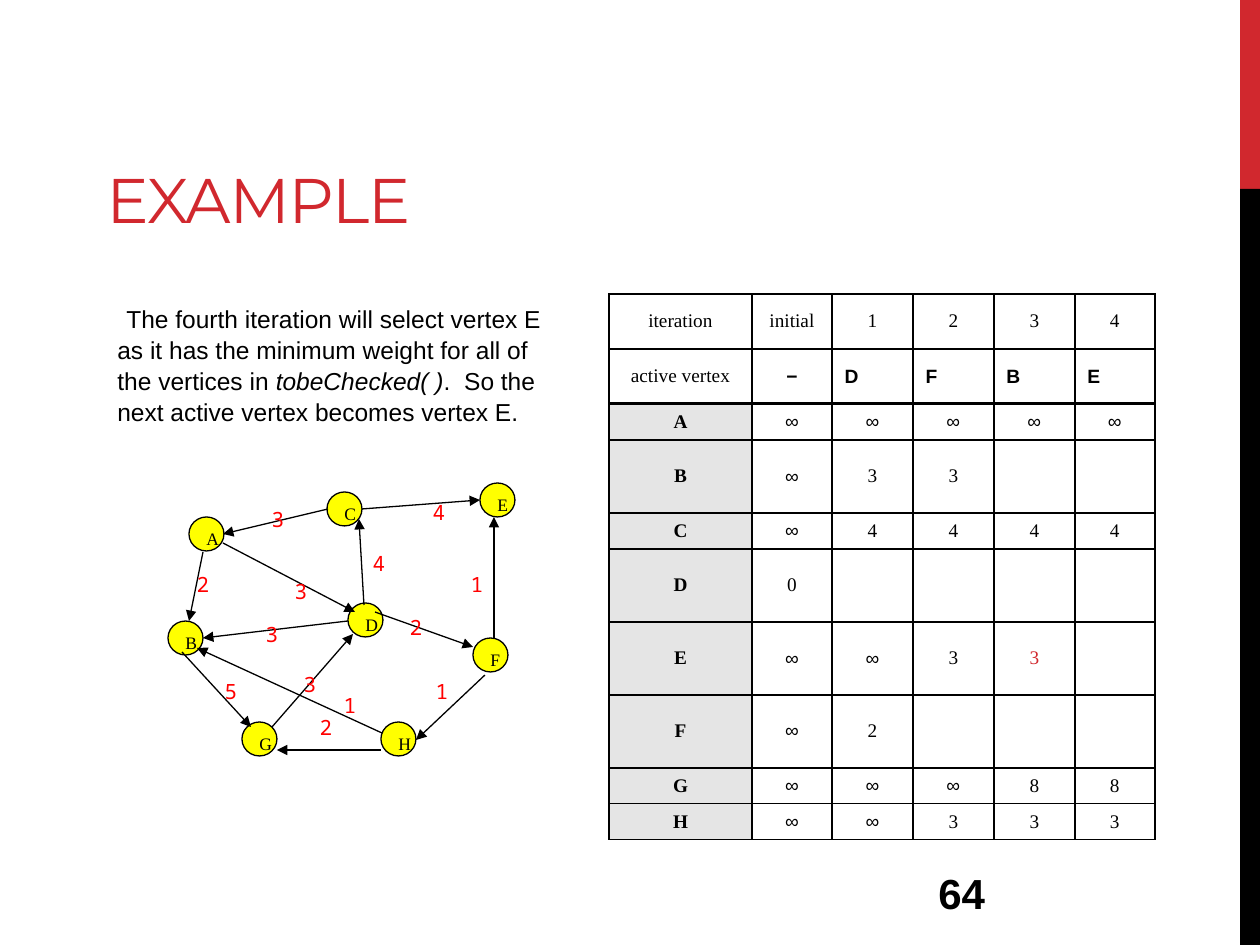
from lxml.etree import SubElement
from pptx import Presentation
from pptx.dml.color import RGBColor
from pptx.enum.shapes import MSO_CONNECTOR, MSO_SHAPE
from pptx.enum.text import MSO_ANCHOR, MSO_AUTO_SIZE, PP_ALIGN
from pptx.oxml.ns import qn
from pptx.util import Emu, Pt

SCALE = 914400 / 126
HUES = {"red": "D1282E", "black": "000000", "white": "FFFFFF", "grey": "E5E5E5",
        "node": "FFFF00", "weight": "FF0000"}
SERIF, SANS = "Times New Roman", "Arial"

NODES = {"A": (189, 517), "B": (168, 621), "C": (327, 492), "D": (348, 603),
         "E": (480, 483), "F": (473, 638), "G": (242, 722), "H": (381, 722)}
EDGES = [(381, 750, 277, 750), (485, 675, 416, 740), (328, 509, 223, 534),
         (203, 552, 189, 621), (375, 612, 473, 647), (494, 638, 494, 517),
         (348, 621, 203, 638), (223, 543, 355, 612), (362, 509, 480, 500),
         (182, 652, 251, 727), (382, 733, 197, 648), (272, 727, 353, 634),
         (364, 605, 359, 519)]
WEIGHTS = [("3", 278, 519), ("4", 439, 512), ("2", 203, 584), ("3", 301, 591),
           ("2", 416, 627), ("3", 272, 634), ("5", 231, 691), ("2", 326, 727),
           ("1", 442, 691), ("1", 477, 584), ("3", 310, 684), ("1", 350, 705),
           ("4", 379, 563)]
COLS = [143, 80, 81, 81, 81, 80]
ROWS = [(55, "iteration", "initial", "1", "2", "3", "4"),
        (55, "active vertex", "−", "D", "F", "B", "E"),
        (36, "A", "∞", "∞", "∞", "∞", "∞"),
        (73, "B", "∞", "3", "3", "", ""),
        (36, "C", "∞", "4", "4", "4", "4"),
        (73, "D", "0", "", "", "", ""),
        (73, "E", "∞", "∞", "3", "3", ""),
        (73, "F", "∞", "2", "", "", ""),
        (36, "G", "∞", "∞", "∞", "8", "8"),
        (36, "H", "∞", "∞", "3", "3", "3")]


def px(*nums):
    """Turn px lengths into EMU."""
    return [Emu(round(num * SCALE)) for num in nums]


def tint(name):
    """Look up a named colour."""
    return RGBColor.from_string(HUES[name])


def put(item, **vals):
    """Set each given attribute on an item."""
    for key, val in vals.items():
        setattr(item, key, val)


def write(para, text, size, face, hue="black", **vals):
    """Add a styled run to a paragraph."""
    run = para.add_run()
    run.text = text
    put(run.font, size=Pt(size), name=face, **vals)
    run.font.color.rgb = tint(hue)
    return run


def label(shapes, box, **vals):
    """Add a text box and return its frame."""
    frame = shapes.add_textbox(*px(*box)).text_frame
    put(frame, **{"word_wrap": True, **vals})
    return frame


def form(shapes, kind, box, hue, edge=None):
    """Add a filled preset shape."""
    item = shapes.add_shape(kind, *px(*box))
    item.shadow.inherit = False
    item.fill.solid()
    item.fill.fore_color.rgb = tint(hue)
    if edge:
        item.line.color.rgb = tint(edge)
        item.line.width = Pt(0.75)
    else:
        item.line.fill.background()
    return item


def node(shapes, name, spot):
    """Add a graph vertex."""
    item = form(shapes, MSO_SHAPE.OVAL, (*spot, 35, 34), "node", "black")
    put(item.text_frame, word_wrap=True, vertical_anchor=MSO_ANCHOR.TOP)
    para = item.text_frame.paragraphs[0]
    para.alignment = PP_ALIGN.JUSTIFY
    write(para, name, 10, SERIF)


def arrow(shapes, ends):
    """Add a directed graph edge."""
    item = shapes.add_connector(MSO_CONNECTOR.STRAIGHT, *px(*ends))
    item.line.color.rgb = tint("black")
    item.line.width = Pt(0.75)
    SubElement(item.line._get_or_add_ln(), qn("a:tailEnd"), type="triangle")
    SubElement(item._element.spPr, qn("a:effectLst"))


def weight(shapes, text, x, y):
    """Add an edge weight centred on a point."""
    frame = label(shapes, (x - 23, y - 14, 46, 28), word_wrap=False,
                  vertical_anchor=MSO_ANCHOR.MIDDLE)
    para = frame.paragraphs[0]
    para.alignment = PP_ALIGN.CENTER
    write(para, text, 12, "Noto Sans Mono", "weight")


def border(cell, **sides):
    """Draw cell borders of the given point widths."""
    props = cell._tc.get_or_add_tcPr()
    for side in "LRTB":
        line = SubElement(props, qn(f"a:ln{side}"), w=str(Pt(sides.get(side, 1))))
        fill = SubElement(line, qn("a:solidFill"))
        SubElement(fill, qn("a:srgbClr"), val=HUES["black"])


def shade(cell, row, col):
    """Fill a cell by its place in the table."""
    if row > 1 and col:
        cell.fill.background()
        return
    cell.fill.solid()
    cell.fill.fore_color.rgb = tint("grey" if row > 1 else "white")


def entry(cell, text, row, col):
    """Write one table value."""
    vertex = row == 1 and col > 0
    para = cell.text_frame.paragraphs[0]
    if not (vertex and col > 1):
        para.alignment = PP_ALIGN.CENTER
    hang = px(48)[0]
    props = para._p.get_or_add_pPr()
    props.set("marL", str(hang))
    props.set("indent", str(-hang))
    face = SANS if vertex or text == "∞" else SERIF
    hue = "red" if (row, col) == (6, 4) else "black"
    write(para, text, 11, face, hue, bold=vertex or (row > 1 and not col))


def grid(shapes):
    """Build the table of iterations."""
    table = shapes.add_table(len(ROWS), len(COLS), *px(609, 294, 546, 546)).table
    put(table, first_row=False, horz_banding=False)
    for col, wide in zip(table.columns, px(*COLS)):
        col.width = wide
    for row, (tall, *texts) in enumerate(ROWS):
        table.rows[row].height = px(tall)[0]
        for col, text in enumerate(texts):
            cell = table.cell(row, col)
            cell.vertical_anchor = MSO_ANCHOR.MIDDLE
            border(cell, T=2 if row == 2 else 1, B=2 if row == 1 else 1)
            shade(cell, row, col)
            if text:
                entry(cell, text, row, col)


def head(title):
    """Place and format the title."""
    left, top, wide, tall = px(94, 21, 946, 221)
    put(title, left=left, top=top, width=wide, height=tall)
    put(title.text_frame, vertical_anchor=MSO_ANCHOR.BOTTOM, word_wrap=True,
        auto_size=MSO_AUTO_SIZE.NONE)
    para = title.text_frame.paragraphs[0]
    para.alignment = PP_ALIGN.LEFT
    run = write(para, "EXAMPLE", 36, "Montserrat", "red")
    run.font._element.set("spc", "-60")


def body(shapes):
    """Add the explanation."""
    frame = label(shapes, (105, 252, 451, 208), margin_top=px(51)[0])
    para = frame.paragraphs[0]
    para.line_spacing = 1.05
    para._p.get_or_add_pPr().set("indent", str(px(9)[0]))
    write(para, "The fourth iteration will select vertex E as it has the minimum "
          "weight for all of the vertices in ", 14, SANS)
    write(para, "tobeChecked( )", 14, SANS, italic=True)
    write(para, ".  So the next active vertex becomes vertex E.", 14, SANS)


def graph(shapes):
    """Draw the weighted graph as one group."""
    parts = shapes.add_group_shape().shapes
    for name, spot in NODES.items():
        node(parts, name, spot)
    for ends in EDGES:
        arrow(parts, ends)
    for mark in WEIGHTS:
        weight(parts, *mark)


def main():
    """Build and save the slide."""
    deck = Presentation()
    deck.slide_width, deck.slide_height = px(1260, 945)
    slide = deck.slides.add_slide(deck.slide_layouts[5])
    shapes = slide.shapes
    form(shapes, MSO_SHAPE.RECTANGLE, (1240, 0, 20, 189), "red")
    form(shapes, MSO_SHAPE.RECTANGLE, (1240, 189, 20, 756), "black")
    head(shapes.title)
    grid(shapes)
    page = label(shapes, (926, 861, 262, 63), vertical_anchor=MSO_ANCHOR.MIDDLE)
    write(page.paragraphs[0], "64", 24, SANS, bold=True)
    body(shapes)
    graph(shapes)
    deck.save("out.pptx")


if __name__ == "__main__":
    main()
